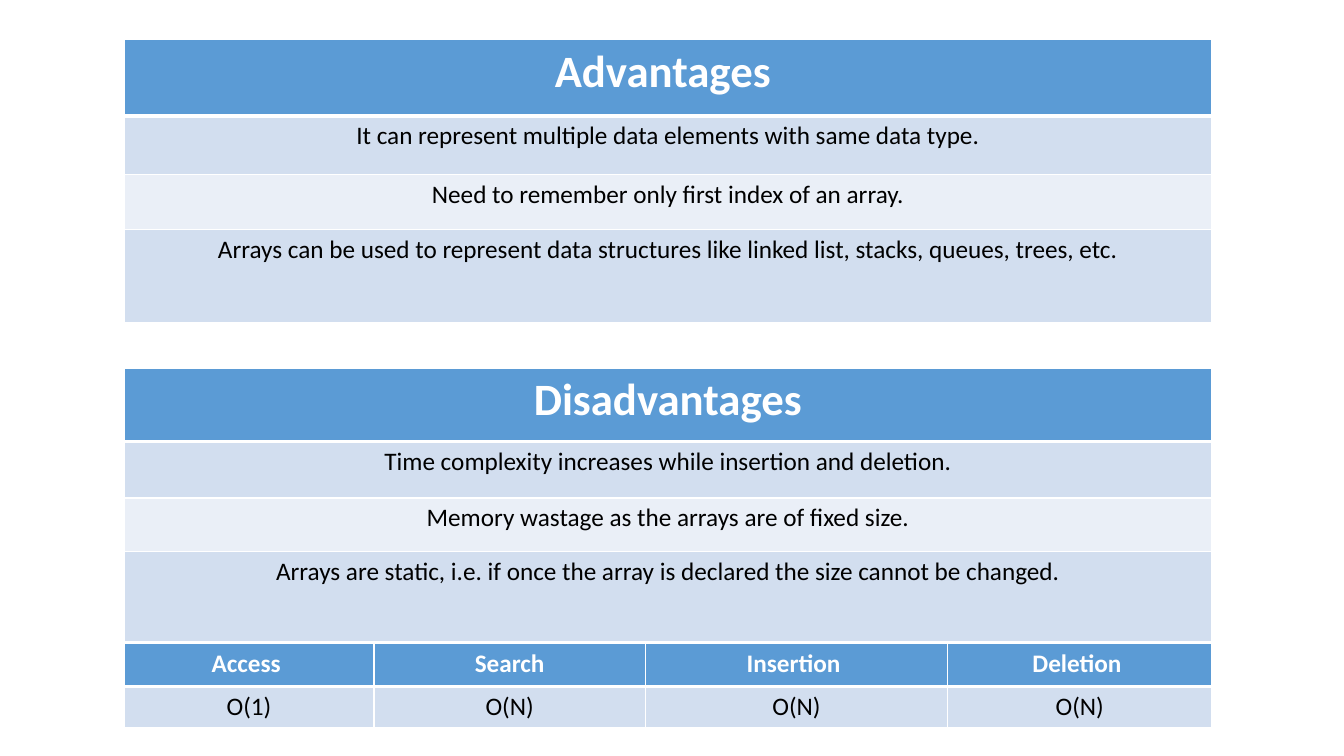
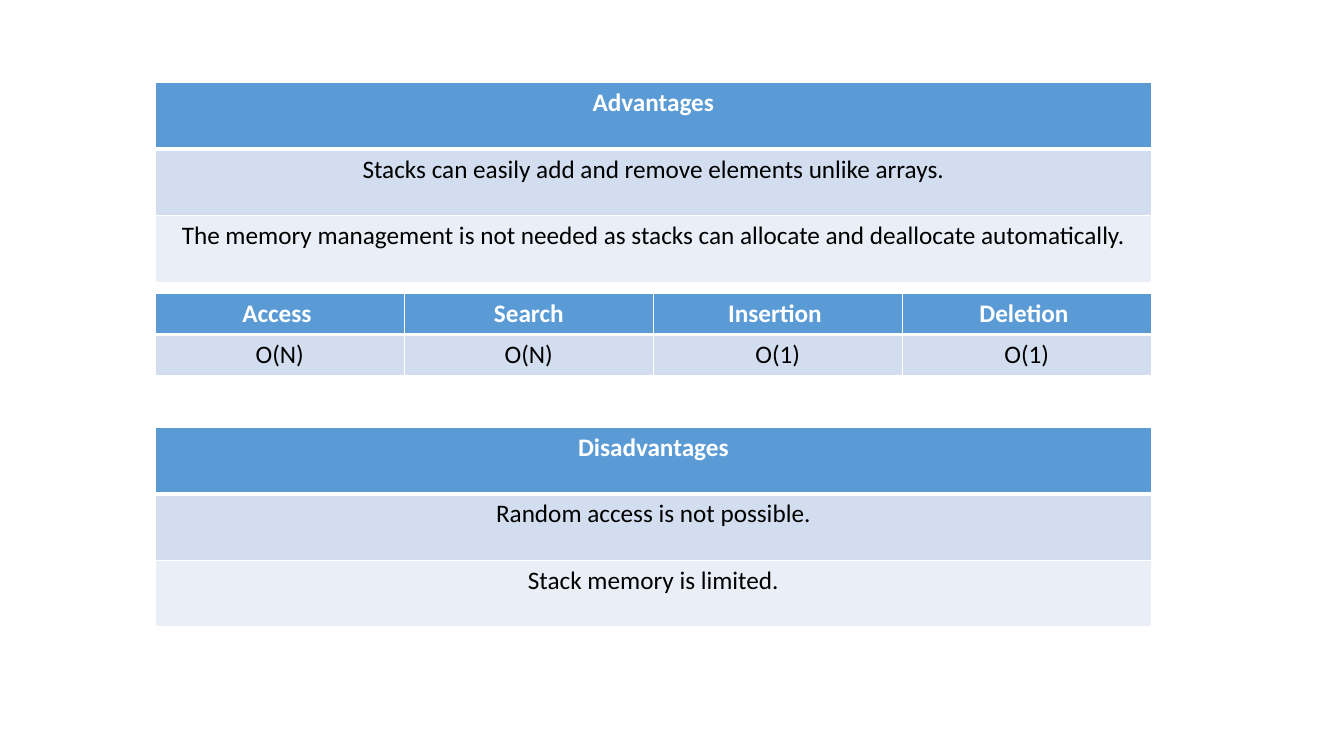
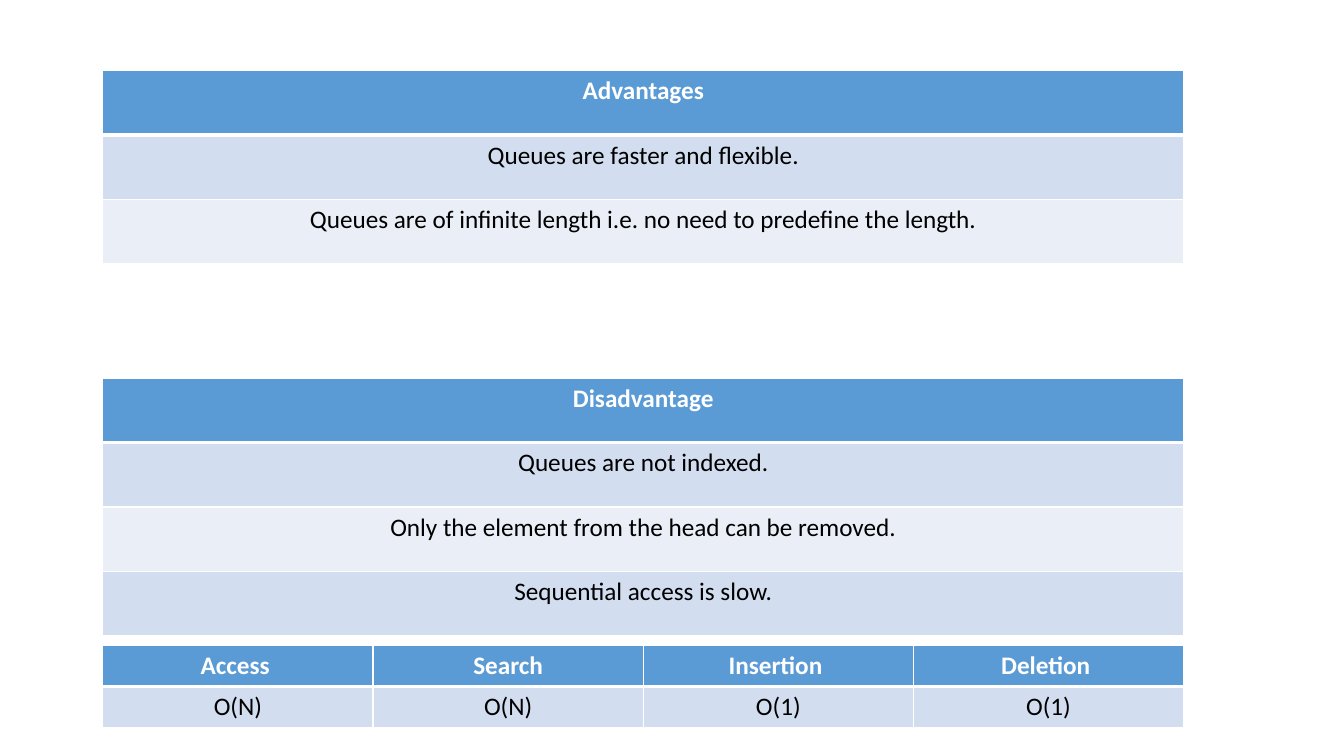
import pptx
import pptx.util
import pptx.dml.color
import pptx.enum.text
import pptx.oxml
import pptx.oxml.ns

Inches = pptx.util.Inches
Pt = pptx.util.Pt

COLORS = {
    "header": "5B9BD5",
    "odd_row": "D2DEEF",
    "even_row": "EAEFF7",
    "border": "FFFFFF",
    "header_text": "FFFFFF",
    "body_text": "000000",
}
FONT = "Calibri"
BODY_SIZE = 18
OPERATIONS = ["Access ", "Search", "Insertion ", "Deletion "]


def color(name):
    """Return the named colour."""
    return pptx.dml.color.RGBColor.from_string(COLORS[name])


def set_borders(cell, bottom_width):
    """Draw the four cell borders, with a chosen width below."""
    properties = cell._tc.get_or_add_tcPr()
    widths = {"lnL": 1, "lnR": 1, "lnT": 1, "lnB": bottom_width}
    for position, (side, width) in enumerate(widths.items()):
        line = pptx.oxml.parse_xml(
            f'<a:{side} {pptx.oxml.ns.nsdecls("a")} w="{Pt(width)}">'
            f'<a:solidFill><a:srgbClr val="{COLORS["border"]}"/></a:solidFill>'
            f'</a:{side}>'
        )
        properties.insert(position, line)


def style_cell(cell, text, row_index, header_size):
    """Fill a cell with its text and the look of its row."""
    is_header = row_index == 0
    band = "odd_row" if row_index % 2 else "even_row"
    cell.fill.solid()
    cell.fill.fore_color.rgb = color("header" if is_header else band)
    set_borders(cell, 3 if is_header else 1)
    paragraph = cell.text_frame.paragraphs[0]
    paragraph.alignment = pptx.enum.text.PP_ALIGN.CENTER
    run = paragraph.add_run()
    run.text = text
    run.font.name = FONT
    run.font.size = Pt(header_size if is_header else BODY_SIZE)
    run.font.bold = is_header
    run.font.color.rgb = color("header_text" if is_header else "body_text")


def add_banded_table(slide, left, top, column_widths, row_heights, rows, header_size=BODY_SIZE):
    """Place a banded table with a header row."""
    shape = slide.shapes.add_table(
        len(rows), len(column_widths), Inches(left), Inches(top),
        Inches(sum(column_widths)), Inches(sum(row_heights)),
    )
    table = shape.table
    for column, width in zip(table.columns, column_widths):
        column.width = Inches(width)
    for row_index, texts in enumerate(rows):
        table.rows[row_index].height = Inches(row_heights[row_index])
        for column_index, text in enumerate(texts):
            style_cell(table.cell(row_index, column_index), text, row_index, header_size)


def add_points(slide, left, top, width, row_heights, lines, header_size=BODY_SIZE):
    """Place a one-column table of a heading and its points."""
    rows = [[line] for line in lines]
    add_banded_table(slide, left, top, [width], row_heights, rows, header_size)


def add_complexity(slide, left, top, column_widths, costs, header_height=0.41):
    """Place the table of operations and their costs."""
    add_banded_table(slide, left, top, column_widths, [header_height, 0.41], [OPERATIONS, costs])


def build_arrays(slide):
    """Build the slide on arrays."""
    left, width = 1.23, 10.79
    add_points(slide, left, 0.39, width, [0.76, 0.58, 0.55, 0.92], [
        "Advantages ",
        "It can represent multiple data elements with same data type.",
        "Need to remember only first index of an array.",
        "Arrays can be used to represent data structures like linked list, stacks, queues, trees, etc.",
    ], header_size=32)
    add_points(slide, left, 3.65, width, [0.73, 0.56, 0.53, 0.9], [
        "Disadvantages",
        "Time complexity increases while insertion and deletion.",
        "Memory wastage as the arrays are of fixed size.",
        "Arrays are static, i.e. if once the array is declared the size cannot be changed.",
    ], header_size=32)
    add_complexity(slide, left, 6.38, [2.48, 2.69, 3, 2.62],
                   ["O(1)", "O(N)", "O(N)", "O(N)"], header_height=0.43)


def build_stacks(slide):
    """Build the slide on stacks."""
    left, width = 1.54, 9.88
    row_heights = [0.66] * 3
    add_complexity(slide, left, 2.91, [width / 4] * 4, ["O(N)", "O(N)", "O(1)", "O(1)"])
    add_points(slide, left, 0.82, width, row_heights, [
        "Advantages",
        "Stacks can easily add and remove elements unlike arrays.",
        "The memory management is not needed as stacks can allocate and deallocate automatically.",
    ])
    add_points(slide, left, 4.24, width, row_heights, [
        "Disadvantages",
        "Random access is not possible.",
        "Stack memory is limited.",
    ])


def build_queues(slide):
    """Build the slide on queues."""
    left, width, row_height = 1.02, 10.72, 0.64
    add_points(slide, left, 0.7, width, [row_height] * 3, [
        "Advantages",
        "Queues are faster and flexible.",
        "Queues are of infinite length i.e. no need to predefine the length.",
    ])
    add_points(slide, left, 3.75, width, [row_height] * 4, [
        "Disadvantage",
        "Queues are not indexed.",
        "Only the element from the head can be removed.",
        "Sequential access is slow.",
    ])
    add_complexity(slide, left, 6.4, [width / 4] * 4, ["O(N)", "O(N)", "O(1)", "O(1)"])


def main():
    """Build and save the presentation."""
    presentation = pptx.Presentation()
    presentation.slide_width = Inches(13.33)
    presentation.slide_height = Inches(7.5)
    for build in (build_arrays, build_stacks, build_queues):
        build(presentation.slides.add_slide(presentation.slide_layouts[6]))
    presentation.save("out.pptx")


if __name__ == "__main__":
    main()
